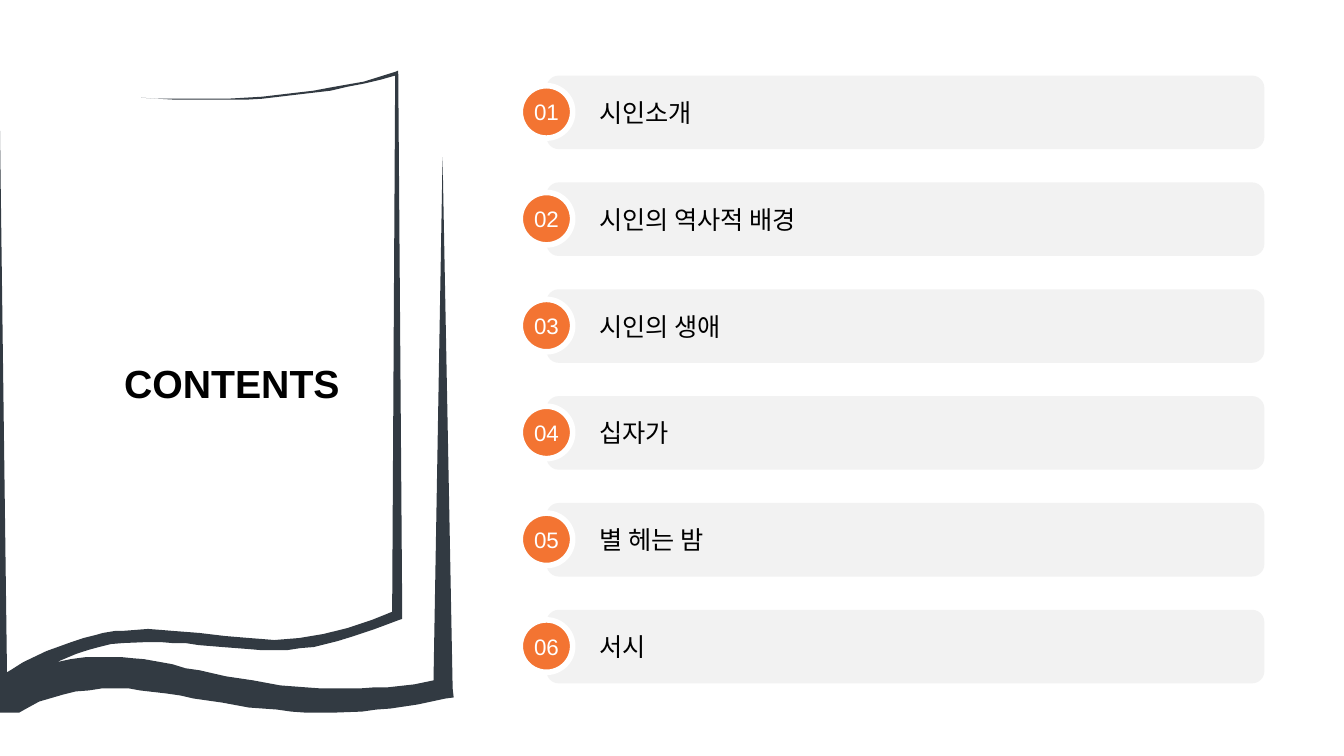
from pptx import Presentation
from pptx.dml.color import RGBColor
from pptx.enum.shapes import MSO_SHAPE
from pptx.enum.text import MSO_ANCHOR, MSO_AUTO_SIZE, PP_ALIGN
from pptx.util import Inches, Pt

ROUNDED, OVAL = MSO_SHAPE.ROUNDED_RECTANGLE, MSO_SHAPE.OVAL
MIDDLE, NO_FIT = MSO_ANCHOR.MIDDLE, MSO_AUTO_SIZE.NONE
LEFT, CENTER = PP_ALIGN.LEFT, PP_ALIGN.CENTER

COLORS = {
    "ink": "323A42",
    "bar": "F2F2F2",
    "badge": "F37432",
    "white": "FFFFFF",
    "black": "000000",
}


def color(name):
    return RGBColor.from_string(COLORS[name])


def write(shape, text, size, ink="black", bold=False, align=CENTER, wrap=False, indent=0):
    frame = shape.text_frame
    frame.auto_size = NO_FIT
    frame.word_wrap = wrap
    frame.vertical_anchor = MIDDLE
    para = frame.paragraphs[0]
    para.alignment = align
    if indent:
        properties = para._p.get_or_add_pPr()
        properties.set("marL", str(Inches(indent)))
        properties.set("indent", "0")
    span = para.add_run()
    span.text = text
    span.font.name = "Arial"
    span.font.size = Pt(size)
    span.font.bold = bold
    span.font.color.rgb = color(ink)


deck = Presentation()
deck.slide_width, deck.slide_height = Inches(13.33), Inches(7.5)
page = deck.slides.add_slide(deck.slide_layouts[5])

# Open book: one outline, in hundredths of an inch
page_bottom = [
    (399, 610), (399, 614), (396, 615), (372, 624), (348, 632), (335, 636),
    (323, 639), (311, 642), (298, 643), (285, 645), (272, 645), (259, 645),
    (247, 644), (221, 642), (197, 640), (184, 638), (171, 638), (159, 637),
    (147, 637), (122, 638), (110, 639), (98, 642), (87, 645), (75, 649), (56, 657),
]
cover_top = [
    (70, 654), (77, 653), (85, 652), (92, 652), (107, 652), (121, 652), (131, 653),
    (143, 654), (171, 659), (184, 663), (198, 665), (224, 671), (251, 675),
    (278, 680), (291, 681), (304, 682), (318, 683), (331, 683), (357, 683),
    (371, 682), (384, 682), (411, 679), (430, 675),
]
cover_spike = [(439, 156), (449, 683), (450, 692)]
cover_bottom = [
    (442, 693), (414, 699), (387, 703), (373, 704), (359, 706), (331, 707),
    (303, 707), (289, 706), (275, 704), (247, 702), (220, 697), (192, 693),
    (179, 690), (165, 688), (139, 685), (128, 683), (113, 683), (101, 683),
    (88, 685), (75, 686), (63, 689), (39, 696), (28, 702), (19, 707), (0, 707),
]
spine = [(0, 127), (7, 667)]
page_fold = [
    (12, 664), (23, 657), (46, 646), (71, 637), (83, 633), (95, 630), (102, 628),
    (114, 626), (121, 626), (147, 624), (160, 625), (172, 626), (185, 627),
    (198, 628), (223, 631), (247, 633), (260, 634), (272, 635), (297, 633),
    (309, 631), (321, 629), (333, 626), (345, 623), (369, 615), (389, 607),
]
page_top = [
    (392, 75), (378, 79), (361, 83), (345, 86), (328, 90), (311, 92), (294, 94),
    (277, 96), (260, 98), (243, 99), (226, 99), (192, 99), (175, 99), (157, 98),
    (140, 97), (157, 98), (192, 98), (225, 98), (243, 97), (260, 96), (277, 94),
    (294, 92), (311, 90), (327, 87), (344, 84), (361, 81), (377, 76), (393, 71),
]
builder = page.shapes.build_freeform(395, 70, scale=Inches(0.01))
builder.add_line_segments(
    page_bottom + cover_top + cover_spike + cover_bottom + spine + page_fold + page_top,
    close=True,
)
book = builder.convert_to_shape()
book.shadow.inherit = False
book.fill.solid()
book.fill.fore_color.rgb = color("ink")
book.line.fill.background()

# Title on the book page
title = page.shapes.title
title.left, title.top = Inches(0.91), Inches(3.49)
title.width, title.height = Inches(2.78), Inches(0.62)
write(title, "CONTENTS", 28, bold=True)

# Numbered contents bars
topics = ["시인소개", "시인의 역사적 배경", "시인의 생애", "십자가", "별 헤는 밤", "서시"]
for index, topic in enumerate(topics):
    top = 0.75 + 1.06 * index
    entry = page.shapes.add_group_shape()
    bar = entry.shapes.add_shape(ROUNDED, Inches(5.42), Inches(top), Inches(7.12), Inches(0.73))
    badge = entry.shapes.add_shape(
        OVAL, Inches(5.16), Inches(top + 0.1), Inches(0.52), Inches(0.52)
    )
    for shape, fill in ((bar, "bar"), (badge, "badge")):
        shape.shadow.inherit = False
        shape.fill.solid()
        shape.fill.fore_color.rgb = color(fill)
    bar.line.fill.background()
    badge.line.color.rgb = color("white")
    badge.line.width = Pt(4)
    write(bar, topic, 18, align=LEFT, wrap=True, indent=0.39)
    write(badge, f"{index + 1:02d}", 16, ink="white")

deck.save("out.pptx")
